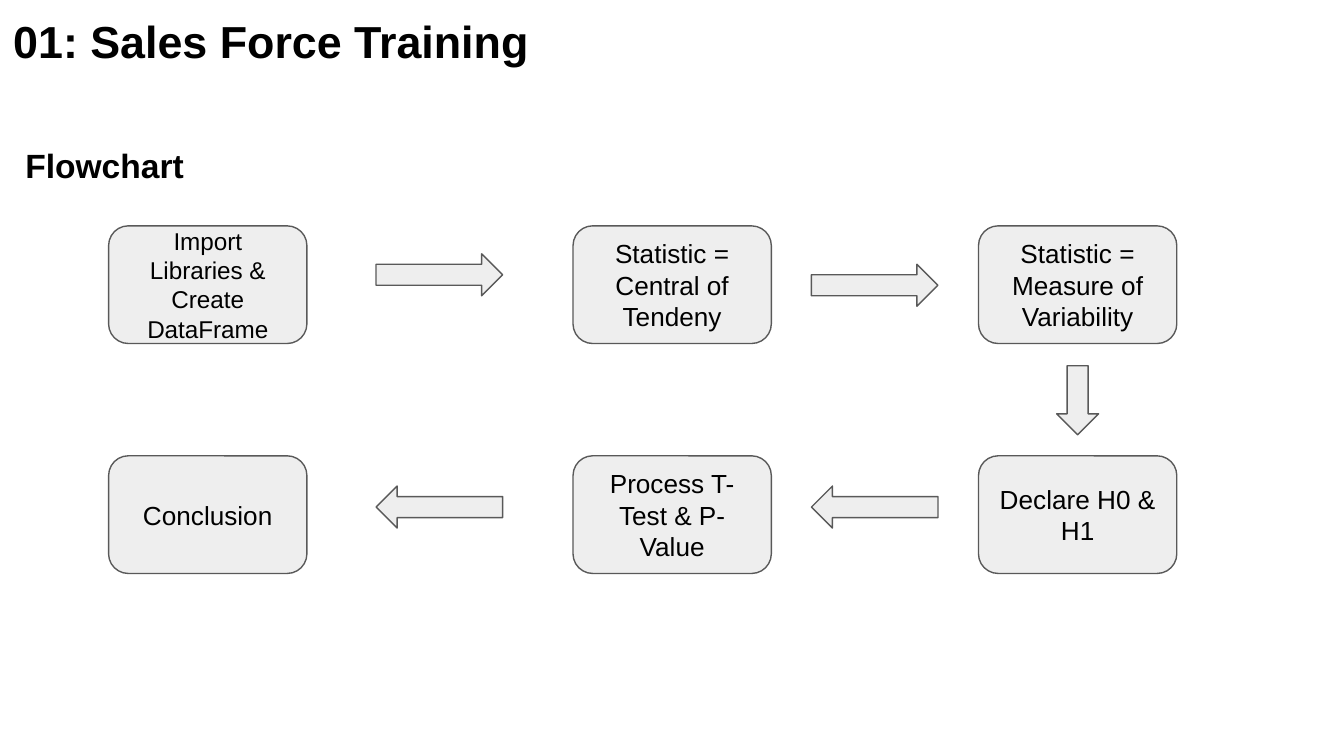
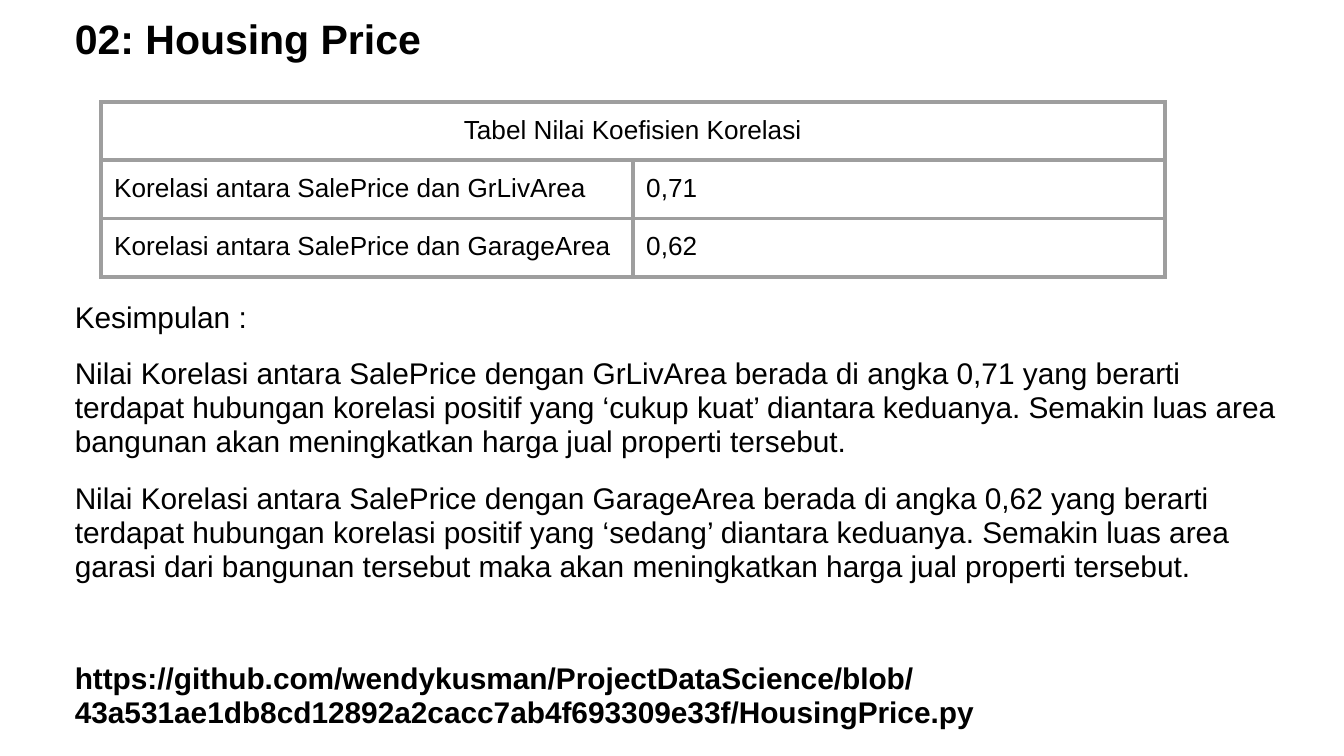
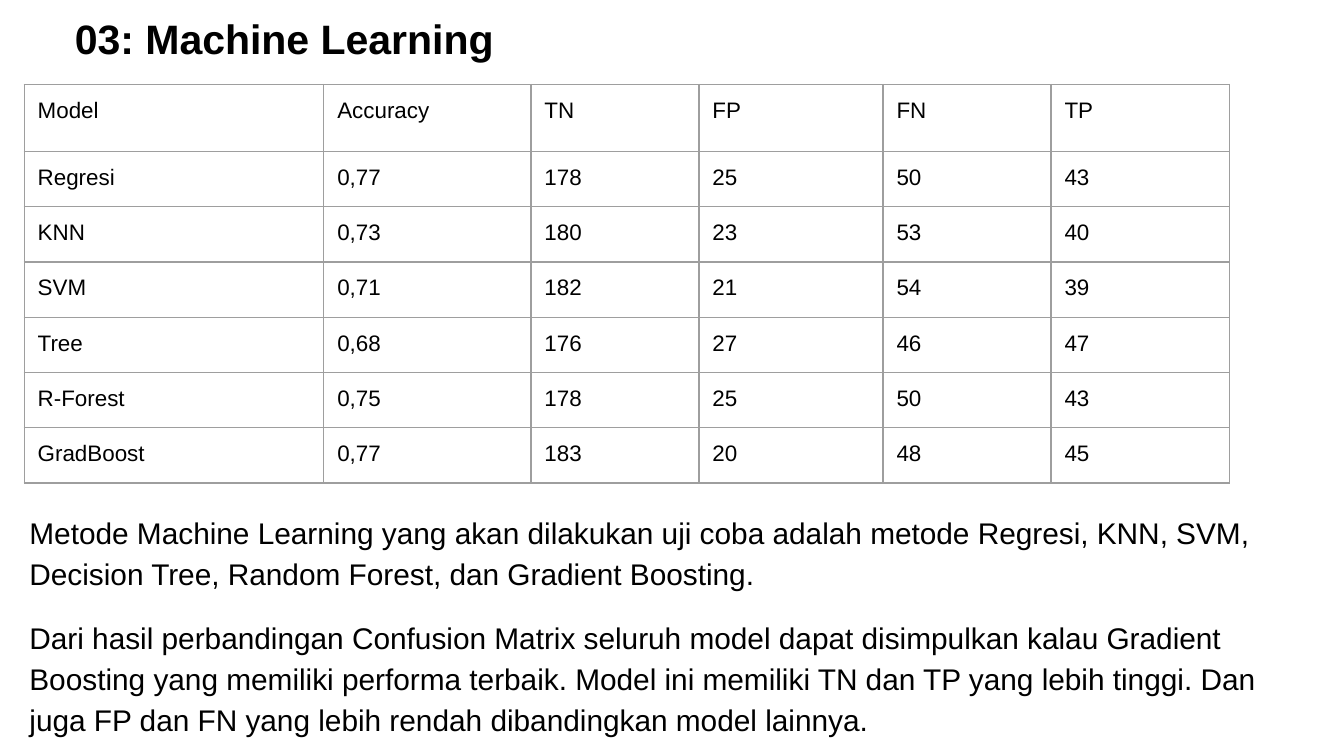
import pptx
import pptx.dml.color
import pptx.enum.shapes
import pptx.enum.text
import pptx.oxml
import pptx.oxml.ns
import pptx.util
from dataclasses import dataclass

Pt = pptx.util.Pt
RGB = pptx.dml.color.RGBColor.from_string
ALIGN = pptx.enum.text.PP_ALIGN
ANCHOR = pptx.enum.text.MSO_ANCHOR
SHAPE = pptx.enum.shapes.MSO_SHAPE


@dataclass(frozen=True)
class Theme:
    font: str = "Arial"
    text: str = "000000"
    fill: str = "EEEEEE"
    outline: str = "595959"
    border: str = "9E9E9E"
    inset: float = 7.2
    hairline: float = 0.75
    main_title: int = 24
    title: int = 22
    heading: int = 18
    body: int = 16
    label: int = 14
    small_label: int = 13
    cell: int = 12


theme = Theme()


def write_text(tf, texts, size, bold=False, align=ALIGN.LEFT, spacing=1.0, before=12):
    tf.word_wrap = True
    tf.margin_left = tf.margin_right = tf.margin_top = tf.margin_bottom = Pt(theme.inset)
    for i, text in enumerate(texts):
        p = tf.add_paragraph() if i else tf.paragraphs[0]
        p.text = text
        p.alignment = align
        p.line_spacing = spacing
        if i:
            p.space_before = Pt(before)
        p.font.name = theme.font
        p.font.size = Pt(size)
        p.font.bold = bold
        p.font.color.rgb = RGB(theme.text)


def add_table(s, left, top, widths, heights, rows, size, border):
    frame = s.shapes.add_table(len(rows), len(widths), Pt(left), Pt(top),
                               Pt(sum(widths)), Pt(sum(heights)))
    table = frame.table
    table.first_row = table.horz_banding = False
    for column, width in zip(table.columns, widths):
        column.width = Pt(width)
    for row, height in zip(table.rows, heights):
        row.height = Pt(height)
    for r, values in enumerate(rows):
        for c, value in enumerate(values):
            cell = table.cell(r, c)
            write_text(cell.text_frame, [value], size)
            cell.margin_left = cell.margin_right = Pt(theme.inset)
            cell.margin_top = cell.margin_bottom = Pt(theme.inset)
            # Borders come before the fill in the cell properties
            tc_pr = cell._tc.get_or_add_tcPr()
            for side in ("lnL", "lnR", "lnT", "lnB"):
                tc_pr.append(pptx.oxml.parse_xml(
                    f'<a:{side} {pptx.oxml.ns.nsdecls("a")} w="{Pt(border)}">'
                    f'<a:solidFill><a:srgbClr val="{theme.border}"/></a:solidFill></a:{side}>'))
            cell.fill.background()
    return table


prs = pptx.Presentation()
prs.slide_width, prs.slide_height = Pt(720), Pt(405)

# Slides and their titles
slides = []
for title, left, width, size in [
    ("01: Sales Force Training", 0, 671, theme.main_title),
    ("02: Housing Price", 33, 395, theme.title),
    ("03: Machine Learning", 33, 395, theme.title),
]:
    s = prs.slides.add_slide(prs.slide_layouts[6])
    sp = s.shapes.add_textbox(Pt(left), Pt(0), Pt(width), Pt(45))
    write_text(sp.text_frame, [title], size, bold=True, align=ALIGN.JUSTIFY)
    slides.append(s)
flow_slide, housing_slide, model_slide = slides

# Slide 1: heading
sp = flow_slide.shapes.add_textbox(Pt(6.5), Pt(67), Pt(689), Pt(332))
write_text(sp.text_frame, ["Flowchart"], theme.heading, bold=True, spacing=1.15)

# Slide 1: steps run right along the top row and back along the bottom one
col_1, col_2, col_3 = 58.2, 307, 524.2
row_1, row_2 = 121, 244.2
steps = [
    ("Import Libraries & Create DataFrame", col_1, row_1, theme.small_label),
    ("Statistic = Central of Tendeny", col_2, row_1, theme.label),
    ("Statistic = Measure of Variability", col_3, row_1, theme.label),
    ("Declare H0 & H1", col_3, row_2, theme.label),
    ("Process T-Test & P-Value", col_2, row_2, theme.label),
    ("Conclusion", col_1, row_2, theme.label),
]
flow_shapes = []
for label, left, top, size in steps:
    sp = flow_slide.shapes.add_shape(SHAPE.ROUNDED_RECTANGLE,
                                     Pt(left), Pt(top), Pt(106.2), Pt(63))
    write_text(sp.text_frame, [label], size, align=ALIGN.CENTER)
    sp.text_frame.vertical_anchor = ANCHOR.MIDDLE
    flow_shapes.append(sp)

# Slide 1: arrows between the steps
for left, top, width, rotation in [
    (201.5, 136, 67.8, 0),
    (434.7, 141.6, 67.8, 0),
    (558.8, 203.2, 37, 90),
    (434.7, 260.4, 67.8, 180),
    (201.5, 260.4, 67.8, 180),
]:
    sp = flow_slide.shapes.add_shape(SHAPE.RIGHT_ARROW,
                                     Pt(left), Pt(top), Pt(width), Pt(22.5))
    sp.rotation = rotation
    flow_shapes.append(sp)

for sp in flow_shapes:
    sp.shadow.inherit = False
    sp.fill.solid()
    sp.fill.fore_color.rgb = RGB(theme.fill)
    sp.line.color.rgb = RGB(theme.outline)
    sp.line.width = Pt(theme.hairline)

# Slide 2: conclusion and link
sp = housing_slide.shapes.add_textbox(Pt(33), Pt(154), Pt(662.5), Pt(250.5))
write_text(sp.text_frame, [
    "Kesimpulan :",
    "Nilai Korelasi antara SalePrice dengan GrLivArea berada di angka 0,71 yang berarti "
    "terdapat hubungan korelasi positif yang ‘cukup kuat’ diantara keduanya. Semakin luas "
    "area bangunan akan meningkatkan harga jual properti tersebut.",
    "Nilai Korelasi antara SalePrice dengan GarageArea berada di angka 0,62 yang berarti "
    "terdapat hubungan korelasi positif yang ‘sedang’ diantara keduanya. Semakin luas area "
    "garasi dari bangunan tersebut maka akan meningkatkan harga jual properti tersebut.",
    "https://github.com/wendykusman/ProjectDataScience/blob/"
    "43a531ae1db8cd12892a2cacc7ab4f693309e33f/HousingPrice.py",
], theme.body, spacing=0.95)
p = sp.text_frame.paragraphs[-1]
p.space_before = Pt(42)
p.font.bold = True

# Slide 2: correlation table with a heading across both columns
table = add_table(housing_slide, 54, 54.6, [285] * 2, [30.2] * 3, [
    ("Tabel Nilai Koefisien Korelasi", ""),
    ("Korelasi antara SalePrice dan GrLivArea", "0,71"),
    ("Korelasi antara SalePrice dan GarageArea", "0,62"),
], theme.label, 2.25)
table.cell(0, 0).merge(table.cell(0, 1))
table.cell(0, 0).text_frame.paragraphs[0].alignment = ALIGN.CENTER

# Slide 3: comparison of the models
sp = model_slide.shapes.add_textbox(Pt(8.7), Pt(265.7), Pt(702.7), Pt(139))
write_text(sp.text_frame, [
    "Metode Machine Learning yang akan dilakukan uji coba adalah metode Regresi, KNN, SVM, "
    "Decision Tree, Random Forest, dan Gradient Boosting.",
    "Dari hasil perbandingan Confusion Matrix seluruh model dapat disimpulkan kalau Gradient "
    "Boosting yang memiliki performa terbaik. Model ini memiliki TN dan TP yang lebih tinggi. "
    "Dan juga FP dan FN yang lebih rendah dibandingkan model lainnya.",
], theme.body, spacing=1.15)

add_table(model_slide, 13, 45.2, [160.5, 111, 90, 98.6, 90, 95.8], [36] + [29.6] * 6, [
    ("Model", "Accuracy", "TN", "FP", "FN", "TP"),
    ("Regresi", "0,77", "178", "25", "50", "43"),
    ("KNN", "0,73", "180", "23", "53", "40"),
    ("SVM", "0,71", "182", "21", "54", "39"),
    ("Tree", "0,68", "176", "27", "46", "47"),
    ("R-Forest", "0,75", "178", "25", "50", "43"),
    ("GradBoost", "0,77", "183", "20", "48", "45"),
], theme.cell, theme.hairline)

prs.save("out.pptx")
